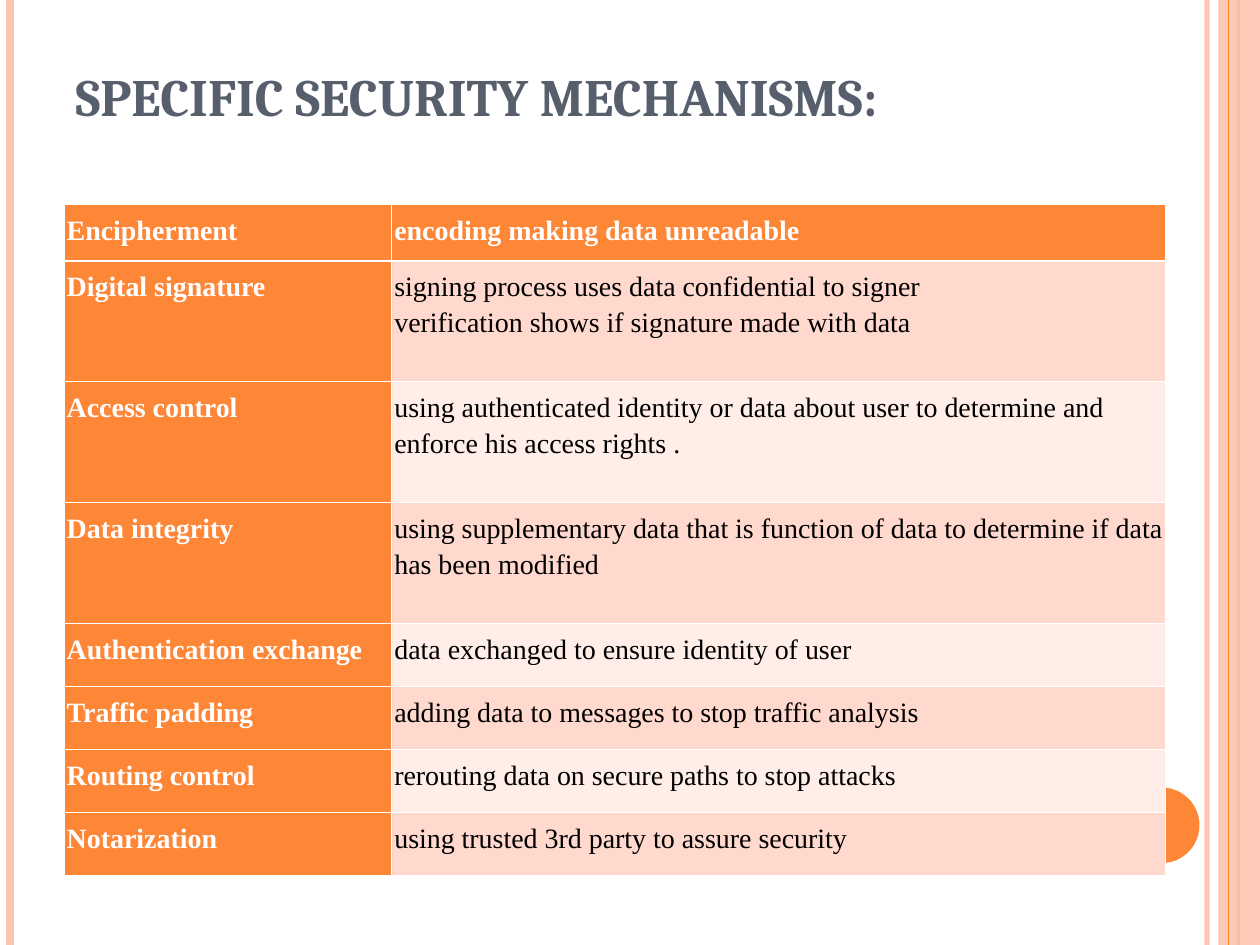
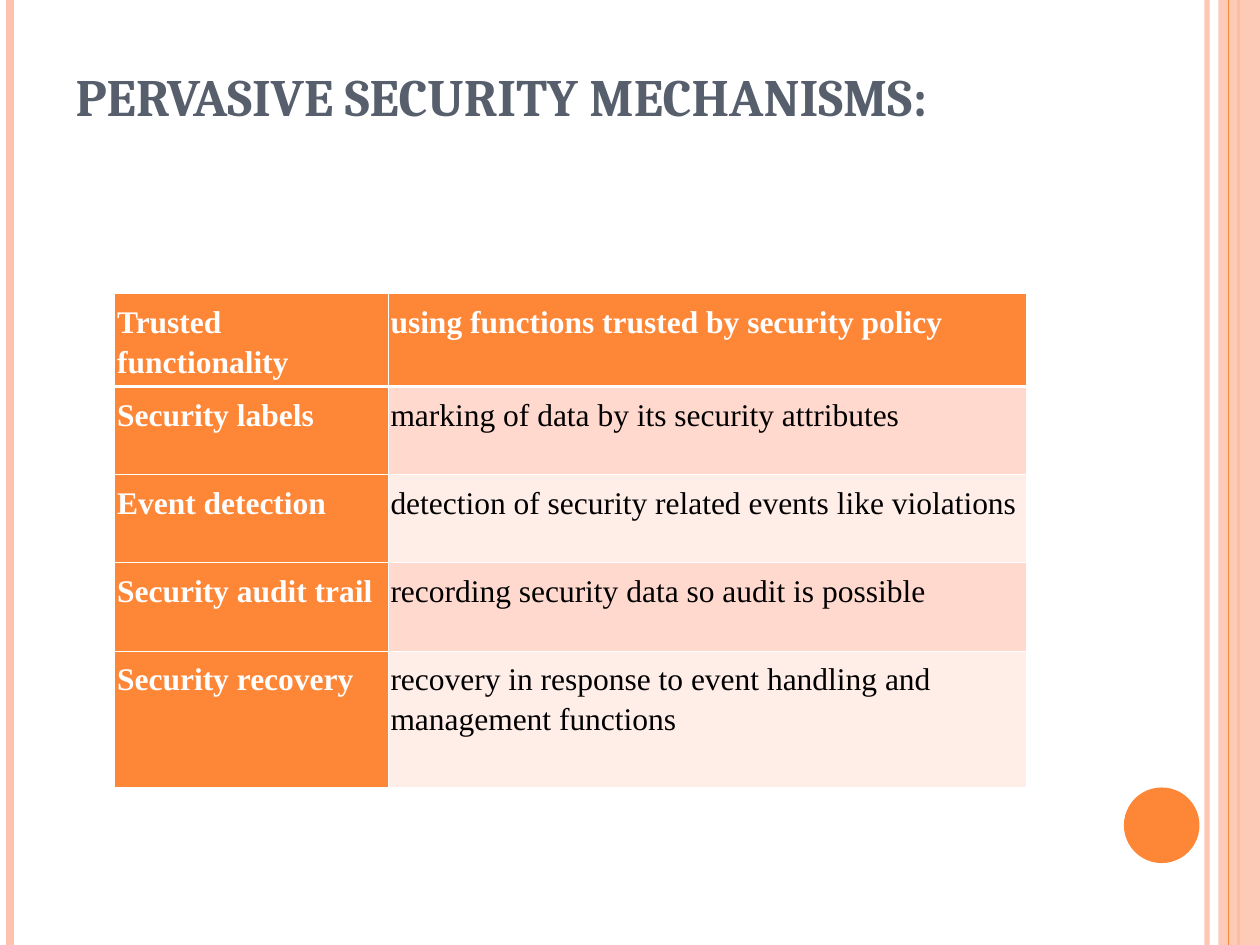
"""Build two slides that tabulate specific and pervasive security mechanisms."""
from dataclasses import dataclass

from lxml import etree
from pptx import Presentation
from pptx import util as u
from pptx.dml.color import RGBColor
from pptx.enum import shapes, text
from pptx.oxml import ns

COLUMNS, ROWS = 100, 75
CELL = u.Inches(0.1)


@dataclass(frozen=True)
class Theme:
    """Colours, fonts and type sizes shared by the slides."""
    accent: str = "FE8637"
    band: str = "FEC3AE"
    title: str = "575F6D"
    light: str = "FFFFFF"
    dark: str = "000000"
    stripes: tuple = ("FFEDE8", "FFD9CE")
    title_font: str = "Cambria"
    table_font: str = "Times New Roman"
    title_size: float = 30
    line_spacing: float = 1.15
    border: float = 0.45
    header_border: float = 1.47


THEME = Theme()

SPECIFIC = [
    ("Encipherment", "encoding making data unreadable"),
    ("Digital signature", "signing process uses data confidential to signer\n"
                          "verification shows if signature made with data"),
    ("Access control", "using authenticated identity or data about user to determine and "
                       "enforce his access rights ."),
    ("Data integrity", "using supplementary data that is function of data to determine "
                       "if data has been modified"),
    ("Authentication exchange", "data exchanged to ensure identity of user"),
    ("Traffic padding", "adding data to messages to stop traffic analysis"),
    ("Routing control", "rerouting data on secure paths to stop attacks"),
    ("Notarization", "using trusted 3rd party to assure security"),
]
PERVASIVE = [
    ("Trusted functionality", "using functions trusted by security policy"),
    ("Security labels", "marking of data by its security attributes"),
    ("Event detection", "detection of security related events like violations"),
    ("Security audit trail", "recording security data so audit is possible"),
    ("Security recovery", "recovery in response to event handling and management functions"),
]


def grid(*cells):
    """Turn grid counts into lengths."""
    return [u.Emu(round(count * CELL)) for count in cells]


def apply(target, formats):
    """Set each attribute named in a dict of format values."""
    for name, value in formats.items():
        setattr(target, name, value)


def style_font(font, name, size, color, bold):
    """Give a font its face, size, colour and weight."""
    apply(font, {"name": name, "size": u.Pt(size), "bold": bold})
    font.color.rgb = RGBColor.from_string(color)


def set_opacity(element, percent):
    """Make the first solid colour under an element partly transparent."""
    color = next(element.iter(ns.qn("a:srgbClr")))
    etree.SubElement(color, ns.qn("a:alpha"), val=str(percent * 1000))


def add_rule(slide, column, color, width, opacity=100):
    """Draw a full-height vertical line."""
    x, bottom = grid(column, ROWS)
    rule = slide.shapes.add_connector(shapes.MSO_CONNECTOR.STRAIGHT, x, 0, x, bottom)
    rule.line.color.rgb = RGBColor.from_string(color)
    rule.line.width = u.Pt(width)
    properties = rule._element.spPr
    if opacity < 100:
        set_opacity(properties, opacity)
    etree.SubElement(properties, ns.qn("a:effectLst"))


def add_block(slide, kind, place, color, opacity=100):
    """Draw a filled preset shape without outline."""
    block = slide.shapes.add_shape(kind, *grid(*place))
    block.shadow.inherit = False
    block.fill.solid()
    block.fill.fore_color.rgb = RGBColor.from_string(color)
    block.line.fill.background()
    if opacity < 100:
        set_opacity(block._element.spPr, opacity)


def add_frame(slide):
    """Draw the side bands and the corner disc."""
    add_rule(slide, 95.8, THEME.band, 3, 93)
    add_rule(slide, 0.8, THEME.band, 4.5)
    add_rule(slide, 98.3, THEME.accent, 1.5)
    add_block(slide, shapes.MSO_SHAPE.RECTANGLE, (96.7, 0, 3.3, ROWS), THEME.band, 87)
    add_rule(slide, 97.5, THEME.accent, 0.75)
    add_block(slide, shapes.MSO_SHAPE.OVAL, (89.2, 62.5, 6, 6), THEME.accent)


def set_title(slide, wording):
    """Place and format the title placeholder."""
    title = slide.shapes.title
    apply(title, dict(zip(("left", "top", "width", "height"), grid(5, 3, 81.7, 12.5))))
    frame = title.text_frame
    frame.text = wording
    apply(frame, {"word_wrap": True, "auto_size": text.MSO_AUTO_SIZE.NONE,
                  "vertical_anchor": text.MSO_ANCHOR.BOTTOM,
                  "margin_bottom": u.Inches(0.54)})
    paragraph = frame.paragraphs[0]
    paragraph.alignment = text.PP_ALIGN.LEFT
    style_font(paragraph.runs[0].font, THEME.title_font, THEME.title_size, THEME.title, True)


def set_borders(cell, widths):
    """Give a cell white borders, ordered left, right, top, bottom."""
    properties = cell._tc.get_or_add_tcPr()
    for index, (side, width) in enumerate(zip("LRTB", widths)):
        line = etree.Element(ns.qn(f"a:ln{side}"), w=str(u.Pt(width)))
        fill = etree.SubElement(line, ns.qn("a:solidFill"))
        etree.SubElement(fill, ns.qn("a:srgbClr"), val=THEME.light)
        properties.insert(index, line)


def fill_cell(cell, wording, row, column, size):
    """Write and format one table cell."""
    heading = row == 0 or column == 0
    cell.text = wording
    apply(cell, {"margin_left": u.Inches(0.02), "margin_right": u.Inches(0.02)})
    cell.fill.solid()
    cell.fill.fore_color.rgb = RGBColor.from_string(
        THEME.accent if heading else THEME.stripes[row % 2])
    for paragraph in cell.text_frame.paragraphs:
        paragraph.line_spacing = THEME.line_spacing
        style_font(paragraph.runs[0].font, THEME.table_font, size,
                   THEME.light if heading else THEME.dark, heading)
    top = THEME.header_border if row == 1 else THEME.border
    bottom = THEME.header_border if row == 0 else THEME.border
    set_borders(cell, (THEME.border, THEME.border, top, bottom))


def add_mechanism_table(slide, entries, corner, widths, heights, size):
    """Add a table of mechanisms and their descriptions."""
    place = grid(*corner, sum(widths), sum(heights))
    table = slide.shapes.add_table(len(entries), len(widths), *place).table
    for column, width in zip(table.columns, grid(*widths)):
        column.width = width
    for row, height in zip(table.rows, grid(*heights)):
        row.height = height
    for row, entry in enumerate(entries):
        for column, wording in enumerate(entry):
            fill_cell(table.cell(row, column), wording, row, column, size)


def add_mechanism_slide(presentation, title, *table):
    """Add a framed slide with a title and one table."""
    slide = presentation.slides.add_slide(presentation.slide_layouts[5])
    add_frame(slide)
    set_title(slide, title)
    add_mechanism_table(slide, *table)


def main():
    """Build and save the presentation."""
    presentation = Presentation()
    presentation.slide_width, presentation.slide_height = grid(COLUMNS, ROWS)
    add_mechanism_slide(presentation, "SPECIFIC SECURITY MECHANISMS:", SPECIFIC,
                        (5.1, 16.2), (26, 61.4), [4.5] + [9.6] * 3 + [5] * 4, 16)
    add_mechanism_slide(presentation, "PERVASIVE SECURITY MECHANISMS:", PERVASIVE,
                        (9.1, 23.3), (21.7, 50.7), [7.3] + [7] * 3 + [10.8], 18)
    presentation.save("out.pptx")


if __name__ == "__main__":
    main()
